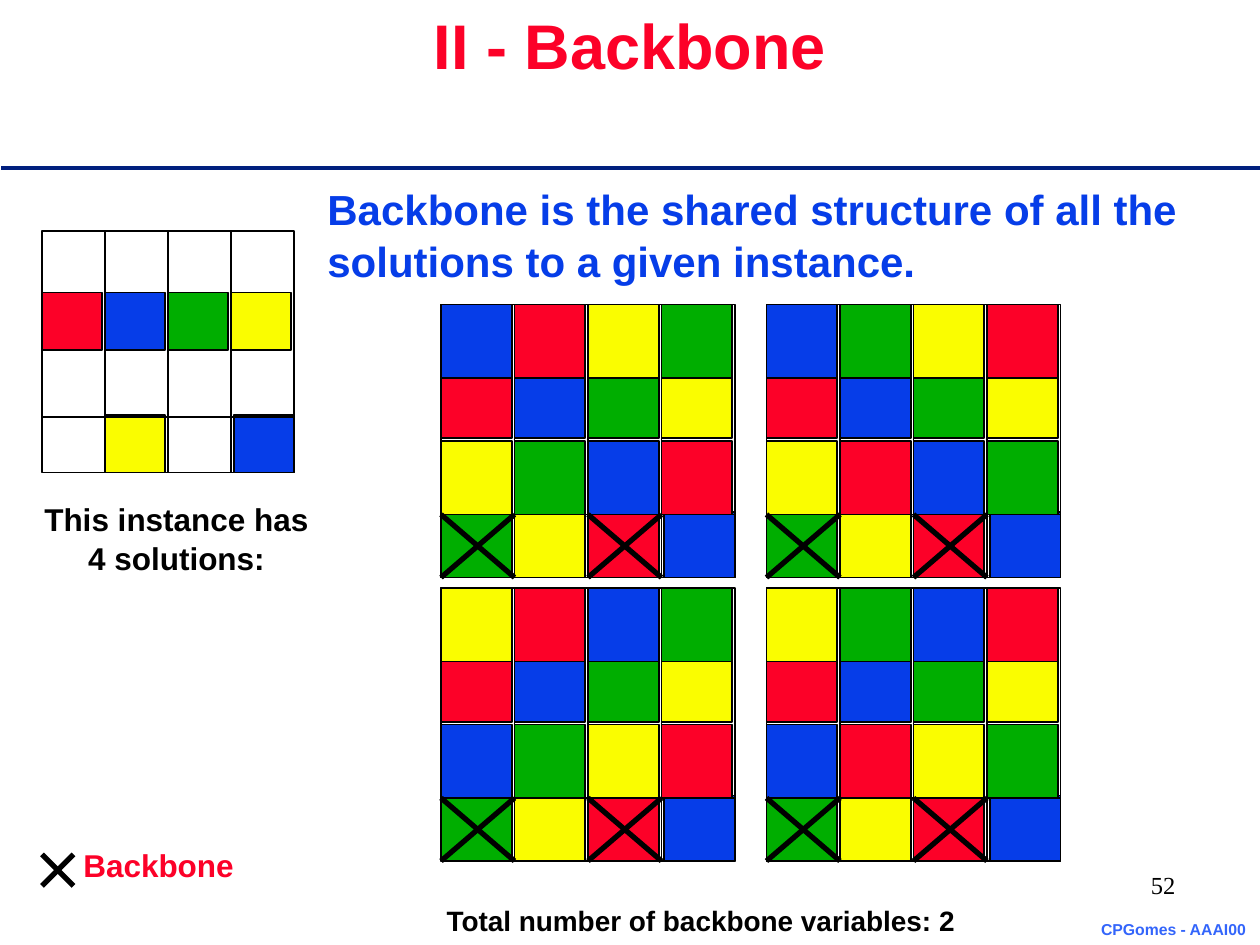
from lxml import etree
from pptx import Presentation
from pptx import util as u
from pptx.dml.color import RGBColor
from pptx.enum import shapes, text
from pptx.oxml import ns

PX = 9525  # 96 px to the inch
COLORS = {
    "R": "FC0128", "G": "00AE00", "B": "063DE8", "Y": "FAFD00",
    "white": "FFFFFF", "black": "000000", "navy": "001F7E", "sky": "3365FB",
}

deck = Presentation()
deck.slide_width, deck.slide_height = 960 * PX, 720 * PX
page = deck.slides.add_slide(deck.slide_layouts[6])


def add_box(left, top, width, height, color):
    box = page.shapes.add_shape(
        shapes.MSO_SHAPE.RECTANGLE, left * PX, top * PX, width * PX, height * PX)
    box.shadow.inherit = False
    box.fill.solid()
    box.fill.fore_color.rgb = RGBColor.from_string(COLORS[color])
    box.line.color.rgb = RGBColor.from_string(COLORS["black"])
    box.line.width = u.Pt(1)


def add_line(x1, y1, x2, y2, weight=1, color="black"):
    line = page.shapes.add_connector(
        shapes.MSO_CONNECTOR.STRAIGHT, x1 * PX, y1 * PX, x2 * PX, y2 * PX)
    line.line.color.rgb = RGBColor.from_string(COLORS[color])
    line.line.width = u.Pt(weight)
    etree.SubElement(line._element.spPr, ns.qn("a:effectLst"))


add_line(1, 128, 960, 128, 2, "navy")

# Boards: left, top, column pitch, clue row offsets, clue height, solved rows 1 and 3
CLUE_ROW = "RBGY"
SOLUTION = (56, (52, 158), 50)
boards = [
    (32, 176, 48, (47, 140), 44, None),
    (336, 448, *SOLUTION, ("YRBG", "BGYR")),
    (336, 232, *SOLUTION, ("BRYG", "YGBR")),
    (584, 232, *SOLUTION, ("BGYR", "YRBG")),
    (584, 448, *SOLUTION, ("YGBR", "BRYG")),
]
for left, top, pitch, (middle, last), height, solved in boards:
    cell = pitch - 2
    right, bottom = left + 4 * pitch, top + last + height
    add_box(left, top, right - left, bottom - top, "white")
    for column, color in enumerate(CLUE_ROW):
        add_box(left + column * pitch, top + middle, cell, height, color)
    add_box(left + pitch, top + last, cell, height, "Y")
    add_box(right - cell, top + last, cell, height, "B")
    for column in (1, 2, 3):
        add_line(left + column * pitch, bottom, left + column * pitch, top)
    last_line = top + last + 2
    add_line(right, last_line, left, last_line)
    if solved is None:
        continue
    for row_top, colors in zip((top, top + 104), solved):
        for column, color in enumerate(colors):
            add_box(left + column * pitch, row_top, cell, 56, color)
    for column, color in ((0, "G"), (2, "R")):
        x = left + column * pitch
        add_box(x, last_line, cell, bottom - last_line, color)
        add_line(x, last_line, x + pitch, bottom, 3)
        add_line(x, bottom, x + pitch, last_line, 3)

add_line(112, 328, 112, 328)  # dot in the yellow clue cell

# Legend cross
add_line(32, 675, 56, 651, 3)
add_line(56, 675, 32, 651, 3)

LEFT, CENTER, RIGHT = text.PP_ALIGN.LEFT, text.PP_ALIGN.CENTER, text.PP_ALIGN.RIGHT
TOP, MIDDLE = text.MSO_ANCHOR.TOP, text.MSO_ANCHOR.MIDDLE
labels = [
    ((828, 696, 132, 24), ["CPGomes - AAAI00"], 9, "sky", CENTER, TOP),
    ((40, 0, 880, 67), ["II - Backbone"], 36, "R", CENTER, TOP),
    ((24, 376, 221, 67), ["This instance has", "4 solutions:"], 18, "black", CENTER, TOP),
    ((54, 640, 160, 38), ["Backbone"], 18, "R", LEFT, TOP),
    ((327, 684, 414, 36), ["Total number of backbone variables: 2"], 16, "black", CENTER, TOP),
    ((240, 136, 675, 86),
     ["Backbone is the shared structure of all the", "solutions to a given instance."],
     24, "B", LEFT, MIDDLE),
    ((688, 658, 217, 32), ["52"], 14, "black", RIGHT, MIDDLE),
]
for place, lines, size, color, align, anchor in labels:
    box = page.shapes.add_textbox(*(length * PX for length in place))
    frame = box.text_frame
    frame.word_wrap = True
    frame.vertical_anchor = anchor
    frame.text = "\n".join(lines)
    for index, para in enumerate(frame.paragraphs):
        para.alignment = align
        if index:
            para.space_before = u.Pt(1)
        para.font.size = u.Pt(size)
        para.font.bold = size != 14
        para.font.name = "Times New Roman" if size == 14 else "Arial"
        para.font.color.rgb = RGBColor.from_string(COLORS[color])

deck.save("out.pptx")
